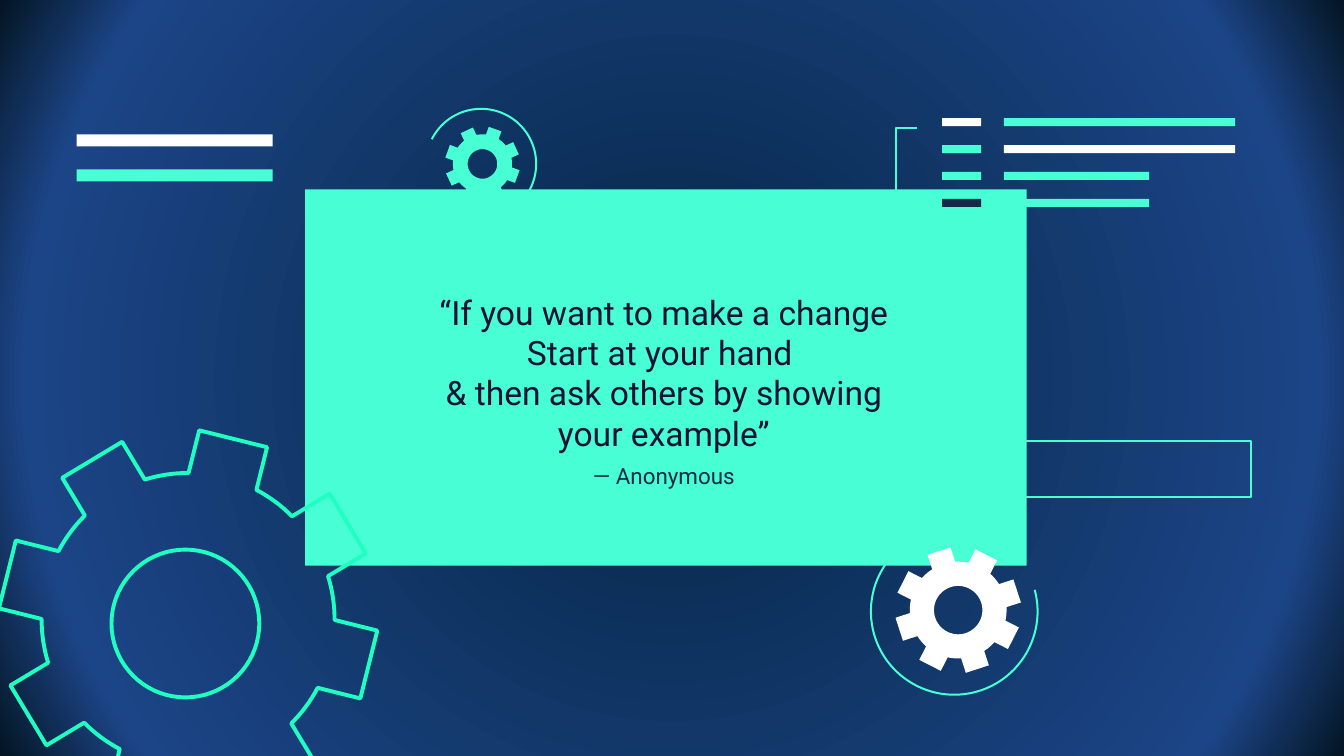
from dataclasses import dataclass
from math import asin, cos, degrees, radians, sin

from lxml.etree import SubElement
from pptx import Presentation
from pptx.dml.color import RGBColor
from pptx.enum.shapes import MSO_SHAPE
from pptx.enum.text import MSO_ANCHOR, MSO_AUTO_SIZE, PP_ALIGN
from pptx.oxml.ns import qn
from pptx.util import Inches, Pt


@dataclass(frozen=True)
class Theme:
    mint: str = "48FFD5"
    bright: str = "1EFFC1"
    white: str = "FFFFFF"
    navy: str = "0E2A47"
    ink: str = "161234"
    backdrop: tuple = ((0, "052643"), (84, "1C4587"), (100, "041523"))
    font: str = "Roboto"
    quote_size: int = 18
    author_size: int = 12
    thin: float = 1.09
    thick: float = 2.1


T = Theme()


def rgb(color):
    return RGBColor.from_string(color)


def style(sp, fill=None, line=None, width=T.thin):
    sp.shadow.inherit = False
    if fill:
        sp.fill.solid()
        sp.fill.fore_color.rgb = rgb(fill)
    else:
        sp.fill.background()
    if line:
        sp.line.color.rgb = rgb(line)
        sp.line.width = Pt(width)
    else:
        sp.line.fill.background()


def rect(s, x, y, w, h, **look):
    sp = s.shapes.add_shape(MSO_SHAPE.RECTANGLE, Inches(x), Inches(y), Inches(w), Inches(h))
    style(sp, **look)


def outline(s, contours, close=True, **look):
    contours = [[(Inches(x), Inches(y)) for x, y in pts] for pts in contours]
    fb = s.shapes.build_freeform(*contours[0][0])
    for i, pts in enumerate(contours):
        if i:
            fb.move_to(*pts[0])
        fb.add_line_segments(pts[1:], close=close)
    style(fb.convert_to_shape(), **look)


def arc_points(cx, cy, radius, start, end, steps):
    angles = [radians(start + (end - start) * i / steps) for i in range(steps + 1)]
    return [(cx + radius * cos(a), cy + radius * sin(a)) for a in angles]


def ring(s, cx, cy, radius, start, end):
    outline(s, [arc_points(cx, cy, radius, start, end, 72)], close=False, line=T.mint)


def gear(s, center, tip, base, half_tooth, hole, tilt, hole_center=None, teeth=8, **look):
    pitch = 360 / teeth
    at_tip, at_base = (degrees(asin(half_tooth / r)) for r in (tip, base))
    rim = []
    for i in range(teeth):
        mid = tilt + i * pitch
        rim += arc_points(*center, tip, mid - at_tip, mid + at_tip, 1)
        rim += arc_points(*center, base, mid + at_base, mid + pitch - at_base, 8)
    bore = arc_points(*(hole_center or center), hole, 360, 0, 72)
    outline(s, [rim, bore], **look)


def background(s):
    s.background.fill.gradient()
    grad = s.element.find(".//" + qn("a:gradFill"))
    for child in list(grad):
        grad.remove(child)
    stops = SubElement(grad, qn("a:gsLst"))
    for pos, color in T.backdrop:
        stop = SubElement(stops, qn("a:gs"), pos=str(pos * 1000))
        SubElement(stop, qn("a:srgbClr"), val=color)
    circle = SubElement(grad, qn("a:path"), path="circle")
    SubElement(circle, qn("a:fillToRect"), l="50000", t="50000", r="50000", b="50000")


def gears(s):
    ring(s, 3.58, 1.22, 0.41, 206.6, 455.7)
    ring(s, 7.1, 4.55, 0.62, -15, 233.5)
    gear(s, (1.4, 4.61), 1.41, 1.09, 0.26, 0.55, 14, (1.38, 4.64), line=T.bright, width=T.thick)
    gear(s, (7.13, 4.54), 0.47, 0.36, 0.09, 0.18, 27, fill=T.white)
    gear(s, (3.59, 1.22), 0.28, 0.22, 0.05, 0.11, 20, fill=T.mint)


def code_lines(s, x, y):
    rows = [
        (T.white, T.mint, 1.72),
        (T.mint, T.white, 1.72),
        (T.mint, T.mint, 1.08),
        (T.navy, T.mint, 1.08),
    ]
    for i, (tag, bar, length) in enumerate(rows):
        top = y + i * 0.2
        rect(s, x, top, 0.29, 0.06, fill=tag)
        rect(s, x + 0.46, top, length, 0.06, fill=bar)
    left, right, high, low = x - 0.34, x - 0.19, y + 0.07, y + 0.68
    bracket = [(right, low), (left, low), (left, high), (right, high)]
    outline(s, [bracket], close=False, line=T.mint)


def heading_bars(s, x, y):
    for i, color in enumerate((T.white, T.mint)):
        rect(s, x, y + i * 0.26, 1.46, 0.09, fill=color)


def fill_text(sp, box, lines, size, color, anchor):
    sp.left, sp.top, sp.width, sp.height = (Inches(v) for v in box)
    tf = sp.text_frame
    tf.word_wrap = True
    tf.auto_size = MSO_AUTO_SIZE.NONE
    tf.vertical_anchor = anchor
    tf.margin_left = tf.margin_right = tf.margin_top = tf.margin_bottom = Inches(0.1)
    p = tf.paragraphs[0]
    p.alignment = PP_ALIGN.CENTER
    p.line_spacing = 1.0
    p.space_before = Pt(0)
    for i, line in enumerate(lines):
        if i:
            p.add_line_break()
        r = p.add_run()
        r.text = line
        r.font.name = T.font
        r.font.size = Pt(size)
        r.font.color.rgb = rgb(color)
    sp.element.getparent().append(sp.element)


def quote(s, x, y):
    author, saying = s.shapes.title, s.placeholders[1]
    fill_text(author, (x + 0.74, y + 0.21, 3.86, 2.12), ["— Anonymous"],
              T.author_size, T.navy, MSO_ANCHOR.BOTTOM)
    lines = [
        "“If you want to make a change",
        "Start at your hand ",
        "& then ask others by showing your example”",
    ]
    fill_text(saying, (x + 0.78, y + 0.66, 3.78, 1.36), lines,
              T.quote_size, T.ink, MSO_ANCHOR.TOP)


def main():
    prs = Presentation()
    prs.slide_width = Inches(10)
    prs.slide_height = prs.slide_width * 9 // 16
    s = prs.slides.add_slide(prs.slide_layouts[0])
    background(s)
    rect(s, 2.27, 1.41, 5.37, 2.8, fill=T.mint)
    gears(s)
    code_lines(s, 7.01, 0.88)
    heading_bars(s, 0.57, 1)
    rect(s, 7.2, 3.28, 2.11, 0.42, line=T.mint)
    quote(s, 2.27, 1.41)
    prs.save("out.pptx")


if __name__ == "__main__":
    main()
